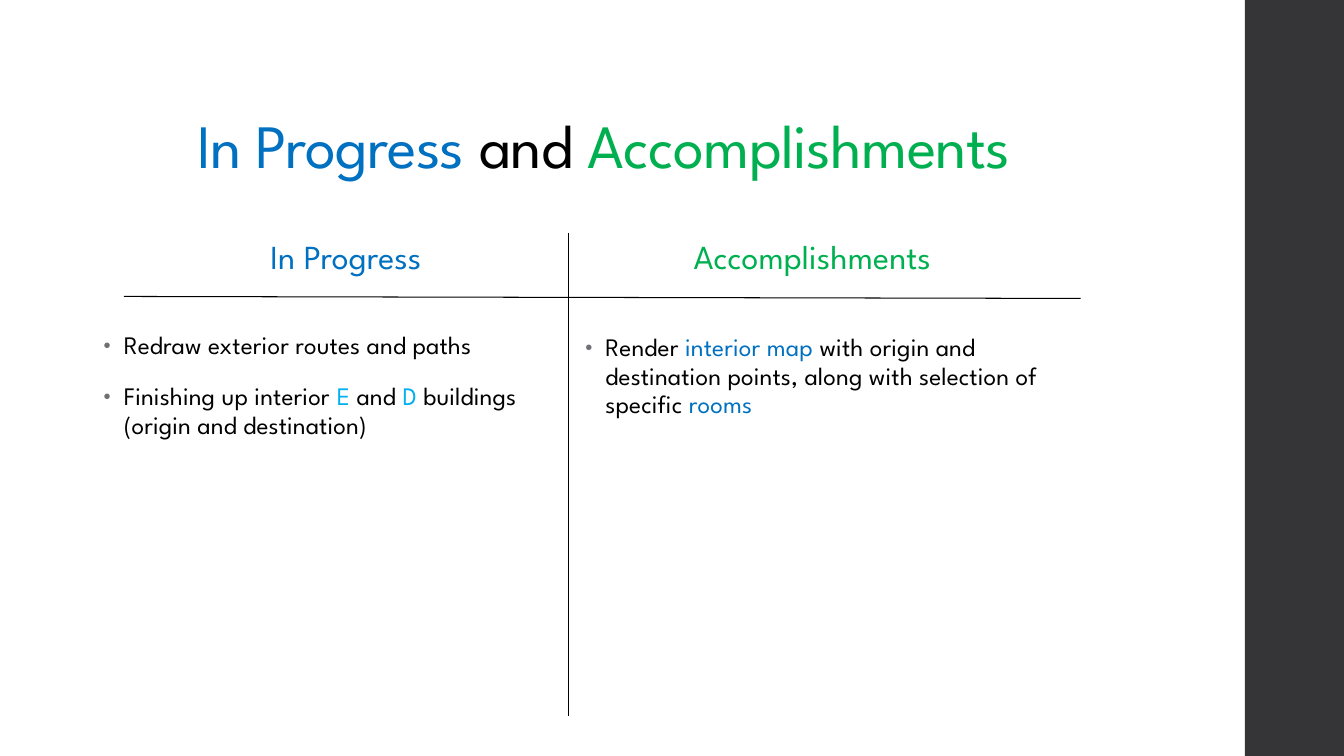
from dataclasses import dataclass

from lxml import etree
from pptx import Presentation
from pptx.dml.color import RGBColor
from pptx.enum.shapes import MSO_CONNECTOR, MSO_SHAPE
from pptx.enum.text import MSO_ANCHOR, PP_ALIGN
from pptx.oxml.ns import qn
from pptx.util import Cm, Pt

STRAIGHT = MSO_CONNECTOR.STRAIGHT
RECTANGLE = MSO_SHAPE.RECTANGLE
TOP, BOTTOM = MSO_ANCHOR.TOP, MSO_ANCHOR.BOTTOM
LEFT, CENTER = PP_ALIGN.LEFT, PP_ALIGN.CENTER


@dataclass(frozen=True)
class Theme:
    """Colours, font and type sizes of the slide."""
    font: str = "League Spartan"
    ink: str = "000000"
    progress: str = "0070C0"
    done: str = "00B050"
    building: str = "00B0F0"
    bullet: str = "6F6F74"
    sidebar: str = "353537"
    title_size: int = 44
    heading_size: int = 24
    body_size: int = 18
    rule_width: float = 0.75


@dataclass(frozen=True)
class Box:
    """A region in centimetres."""
    left: float
    top: float
    width: float
    height: float

    def lengths(self):
        """Return the four sides as lengths."""
        return Cm(self.left), Cm(self.top), Cm(self.width), Cm(self.height)


THEME = Theme()
SLIDE_WIDTH, SLIDE_HEIGHT = 33.87, 19.05
SIDEBAR_WIDTH = 2.5


def add_text_frame(slide, box, anchor=TOP):
    """Add a wrapping text box and return its frame."""
    frame = slide.shapes.add_textbox(*box.lengths()).text_frame
    frame.word_wrap = True
    frame.vertical_anchor = anchor
    return frame


def fill_paragraph(paragraph, pieces, size, spacing, align=LEFT, lines=0.95):
    """Write coloured runs of (words, colour) into a paragraph."""
    paragraph.alignment = align
    paragraph.line_spacing = lines
    for words, colour in pieces:
        run = paragraph.add_run()
        run.text = words
        run.font.name = THEME.font
        run.font.size = Pt(size)
        run.font.color.rgb = RGBColor.from_string(colour)
        run.font._element.set("spc", str(spacing))


def add_bullet(paragraph):
    """Give a paragraph a small grey bullet with a hanging indent."""
    props = paragraph._p.get_or_add_pPr()
    indent = Cm(0.51)
    props.set("marL", str(indent))
    props.set("indent", str(-indent))
    colour = etree.SubElement(props, qn("a:buClr"))
    etree.SubElement(colour, qn("a:srgbClr"), val=THEME.bullet)
    etree.SubElement(props, qn("a:buSzPct"), val="80000")
    etree.SubElement(props, qn("a:buFont"), typeface="Arial")
    etree.SubElement(props, qn("a:buChar"), char="•")


def draw_sidebar(slide, box):
    """Draw the dark band at the right edge."""
    band = slide.shapes.add_shape(RECTANGLE, *box.lengths())
    band.shadow.inherit = False
    band.fill.solid()
    band.fill.fore_color.rgb = RGBColor.from_string(THEME.sidebar)
    band.line.fill.background()


def draw_title(slide, box):
    """Write the three-colour title."""
    pieces = [("In Progress ", THEME.progress), ("and ", THEME.ink),
              ("Accomplishments", THEME.done)]
    frame = add_text_frame(slide, box, BOTTOM)
    fill_paragraph(frame.paragraphs[0], pieces, THEME.title_size, -50, CENTER, 0.9)


def draw_rules(slide, box):
    """Draw the crossing lines that separate the headings and columns."""
    divider = box.left + 11.21
    heading_rule = box.top + 1.6
    ends = [(box.left, heading_rule, box.left + box.width, heading_rule + 0.05),
            (divider, box.top, divider, box.top + box.height)]
    for points in ends:
        rule = slide.shapes.add_connector(STRAIGHT, *map(Cm, points))
        rule.line.color.rgb = RGBColor.from_string(THEME.ink)
        rule.line.width = Pt(THEME.rule_width)
        etree.SubElement(rule._element.spPr, qn("a:effectLst"))


def draw_column(slide, box, heading, colour, heading_inset, heading_width, items):
    """Write a centred heading above a bulleted list."""
    heading_box = Box(box.left + heading_inset, box.top, heading_width, 1.32)
    frame = add_text_frame(slide, heading_box)
    fill_paragraph(frame.paragraphs[0], [(heading, colour)],
                   THEME.heading_size, 10, CENTER)

    list_offset = box.height - 9.75
    list_box = Box(box.left, box.top + list_offset, box.width, 9.75)
    frame = add_text_frame(slide, list_box)
    for index, pieces in enumerate(items):
        paragraph = frame.add_paragraph() if index else frame.paragraphs[0]
        fill_paragraph(paragraph, pieces, THEME.body_size, 10)
        paragraph.space_before = Pt(14)
        paragraph.space_after = Pt(2)
        add_bullet(paragraph)


def draw_status_slide(deck):
    """Build the slide that compares open and finished work."""
    slide = deck.slides.add_slide(deck.slide_layouts[6])
    draw_sidebar(slide, Box(SLIDE_WIDTH - SIDEBAR_WIDTH, 0, SIDEBAR_WIDTH, SLIDE_HEIGHT))
    draw_title(slide, Box(0, 1.02, 30.43, 3.68))
    draw_rules(slide, Box(3.12, 5.87, 24.11, 12.16))
    draw_column(slide, Box(2.36, 5.89, 11.61, 12.09), "In Progress",
                THEME.progress, 1.04, 10.64, [
                    [("Redraw exterior routes and paths", THEME.ink)],
                    [("Finishing up interior ", THEME.ink), ("E", THEME.building),
                     (" and ", THEME.ink), ("D", THEME.building),
                     (" buildings (origin and destination)", THEME.ink)],
                ])
    draw_column(slide, Box(14.5, 5.89, 13.13, 12.14), "Accomplishments",
                THEME.done, 0.92, 10.11, [
                    [("Render ", THEME.ink), ("interior map ", THEME.progress),
                     ("with origin and destination points, along with selection of specific ",
                      THEME.ink),
                     ("rooms", THEME.progress)],
                ])


def main():
    """Create and save the deck."""
    deck = Presentation()
    deck.slide_width, deck.slide_height = Cm(SLIDE_WIDTH), Cm(SLIDE_HEIGHT)
    draw_status_slide(deck)
    deck.save("out.pptx")


if __name__ == "__main__":
    main()
